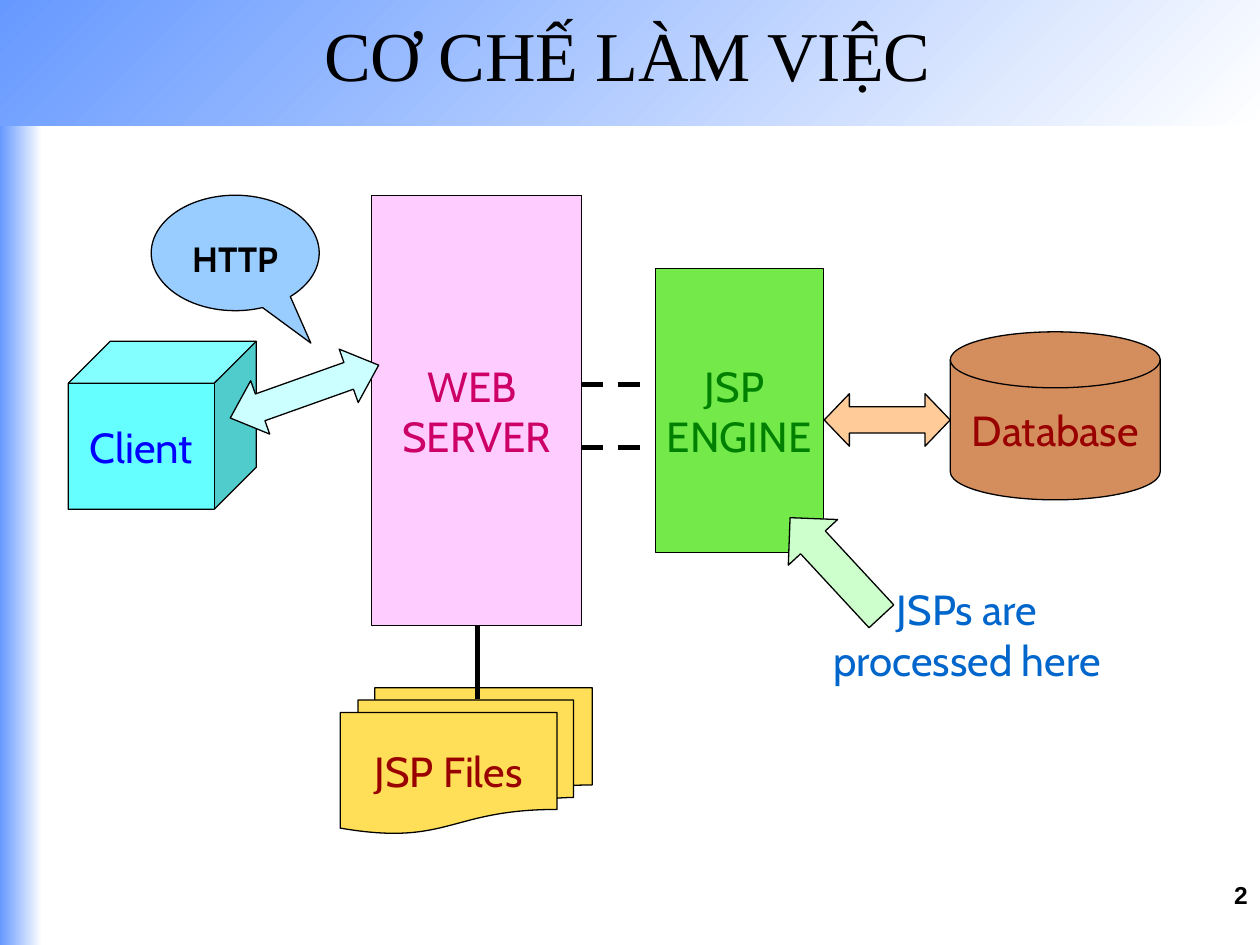
from pptx import Presentation
from pptx.dml.color import RGBColor
from pptx.enum.dml import MSO_LINE
from pptx.enum.shapes import MSO_CONNECTOR, MSO_SHAPE
from pptx.enum.text import MSO_ANCHOR, PP_ALIGN
from pptx.oxml.ns import qn
from pptx.util import Inches, Pt
from lxml.etree import SubElement

BLACK = RGBColor(0x00, 0x00, 0x00)
WHITE = RGBColor(0xFF, 0xFF, 0xFF)
SKY = RGBColor(0x66, 0x99, 0xFF)
PINK = RGBColor(0xFF, 0xCC, 0xFF)
MAGENTA = RGBColor(0xCC, 0x00, 0x66)
LIME = RGBColor(0x74, 0xEA, 0x4A)
GREEN = RGBColor(0x00, 0x80, 0x00)
COPPER = RGBColor(0xD4, 0x8D, 0x5C)
MAROON = RGBColor(0x99, 0x00, 0x00)
CYAN = RGBColor(0x66, 0xFF, 0xFF)
BLUE = RGBColor(0x00, 0x00, 0xFF)
YELLOW = RGBColor(0xFF, 0xDF, 0x57)
PALE_BLUE = RGBColor(0x99, 0xCC, 0xFF)
PEACH = RGBColor(0xFF, 0xCC, 0x99)
MINT = RGBColor(0xCC, 0xFF, 0xCC)
ICE = RGBColor(0xCC, 0xFF, 0xFF)
NOTE_BLUE = RGBColor(0x00, 0x66, 0xCC)

COLUMNS, ROWS = 120, 90
TITLE = ("CƠ CHẾ LÀM VIỆC", (2.8, 0, 113.9, 10.1))
BARS = [((0, 0, 4, 90), 0), ((0, 0, 120, 12), 315)]
NODES = [
    (MSO_SHAPE.RECTANGLE, (35.4, 18.6, 20, 41), PINK, "WEB \nSERVER", MAGENTA),
    (MSO_SHAPE.RECTANGLE, (62.4, 25.6, 16, 27), LIME, "JSP \nENGINE", GREEN),
    (MSO_SHAPE.FLOWCHART_MAGNETIC_DISK, (90.5, 31.6, 20, 16), COPPER, "Database", MAROON),
    (MSO_SHAPE.CUBE, (6.5, 32.5, 17.9, 16), CYAN, "Client", BLUE),
    (MSO_SHAPE.FLOWCHART_MULTIDOCUMENT, (32.4, 65.5, 24, 13.9), YELLOW, "JSP Files", MAROON),
]
CALLOUT = ("HTTP", (14.4, 18.6, 16, 11), [0.45, 0.78])
LINKS = [
    ((45.5, 59.6), (45.5, 66.6), None),
    ((55.4, 36.6), (62.4, 36.6), MSO_LINE.DASH),
    ((55.4, 42.6), (62.4, 42.6), MSO_LINE.DASH),
]
DATABASE_ARROW = (MSO_SHAPE.LEFT_RIGHT_ARROW, (78.5, 37.5, 12, 5), PEACH, 0, [0.5, 0.48])
POINTER_ARROWS = [
    (MSO_SHAPE.RIGHT_ARROW, (73.2, 50.8, 12.8, 6.4), MINT, 227.2, [0.5, 0.5]),
    (MSO_SHAPE.LEFT_RIGHT_ARROW, (21.5, 34.6, 15, 5.4), ICE, 340.4, [0.5, 0.56]),
]
NOTE = ("JSPs are processed here", (76, 55, 32.2, 10.8))
NUMBER = ("2", (86, 83.2, 34, 6.2))

presentation = Presentation()
presentation.slide_width = Inches(10)
presentation.slide_height = Inches(7.5)
slide = presentation.slides.add_slide(presentation.slide_layouts[5])
cell_width = presentation.slide_width / COLUMNS
cell_height = presentation.slide_height / ROWS


def place(*cells):
    units = (cell_width, cell_height) * 2
    return [round(cell * unit) for cell, unit in zip(cells, units)]


def write(shape, text, size, color, font="Cabin", bold=False,
          align=PP_ALIGN.CENTER, anchor=MSO_ANCHOR.TOP, wrap=True):
    frame = shape.text_frame
    frame.text = text
    frame.word_wrap = wrap
    frame.vertical_anchor = anchor
    for paragraph in frame.paragraphs:
        paragraph.alignment = align
        for run in paragraph.runs:
            run.font.name = font
            run.font.size = Pt(size)
            run.font.bold = bold
            run.font.color.rgb = color


def add_outlined(kind, cells, fill, adjustments=(), rotation=0):
    shape = slide.shapes.add_shape(kind, *place(*cells))
    shape.shadow.inherit = False
    shape.fill.solid()
    shape.fill.fore_color.rgb = fill
    shape.line.color.rgb = BLACK
    shape.line.width = Pt(0.75)
    shape.rotation = rotation
    for index, value in enumerate(adjustments):
        shape.adjustments[index] = value
    return shape


def add_arrow(kind, cells, fill, rotation, adjustments):
    add_outlined(kind, cells, fill, adjustments, rotation)


def add_text(text, cells, *style, **options):
    write(slide.shapes.add_textbox(*place(*cells)), text, *style, **options)


for cells, angle in BARS:
    bar = slide.shapes.add_shape(MSO_SHAPE.RECTANGLE, *place(*cells))
    bar.shadow.inherit = False
    bar.line.fill.background()
    bar.fill.gradient()
    bar.fill.gradient_angle = angle
    for stop, color in zip(bar.fill.gradient_stops, (SKY, WHITE)):
        stop.color.rgb = color

title = slide.shapes.title
title.left, title.top, title.width, title.height = place(*TITLE[1])
write(title, TITLE[0], 40, BLACK, "Times New Roman", anchor=MSO_ANCHOR.MIDDLE)
title.element.getparent().append(title.element)

for kind, cells, fill, text, color in NODES:
    node = add_outlined(kind, cells, fill)
    write(node, text, 24, color, anchor=MSO_ANCHOR.MIDDLE, wrap=False)

text, cells, adjustments = CALLOUT
callout = add_outlined(MSO_SHAPE.OVAL_CALLOUT, cells, PALE_BLUE, adjustments)
write(callout, text, 20, BLACK, bold=True)
callout.text_frame.margin_top = Inches(0.2)

for start, end, dash in LINKS:
    link = slide.shapes.add_connector(MSO_CONNECTOR.STRAIGHT, *place(*start, *end))
    link.line.color.rgb = BLACK
    link.line.width = Pt(3)
    link.line.dash_style = dash
    SubElement(link.element.spPr, qn("a:effectLst"))

add_arrow(*DATABASE_ARROW)
add_text(*NOTE, 24, NOTE_BLUE)
for arrow in POINTER_ARROWS:
    add_arrow(*arrow)
add_text(*NUMBER, 14, BLACK, "Arial", bold=True, align=PP_ALIGN.RIGHT)

presentation.save("out.pptx")
